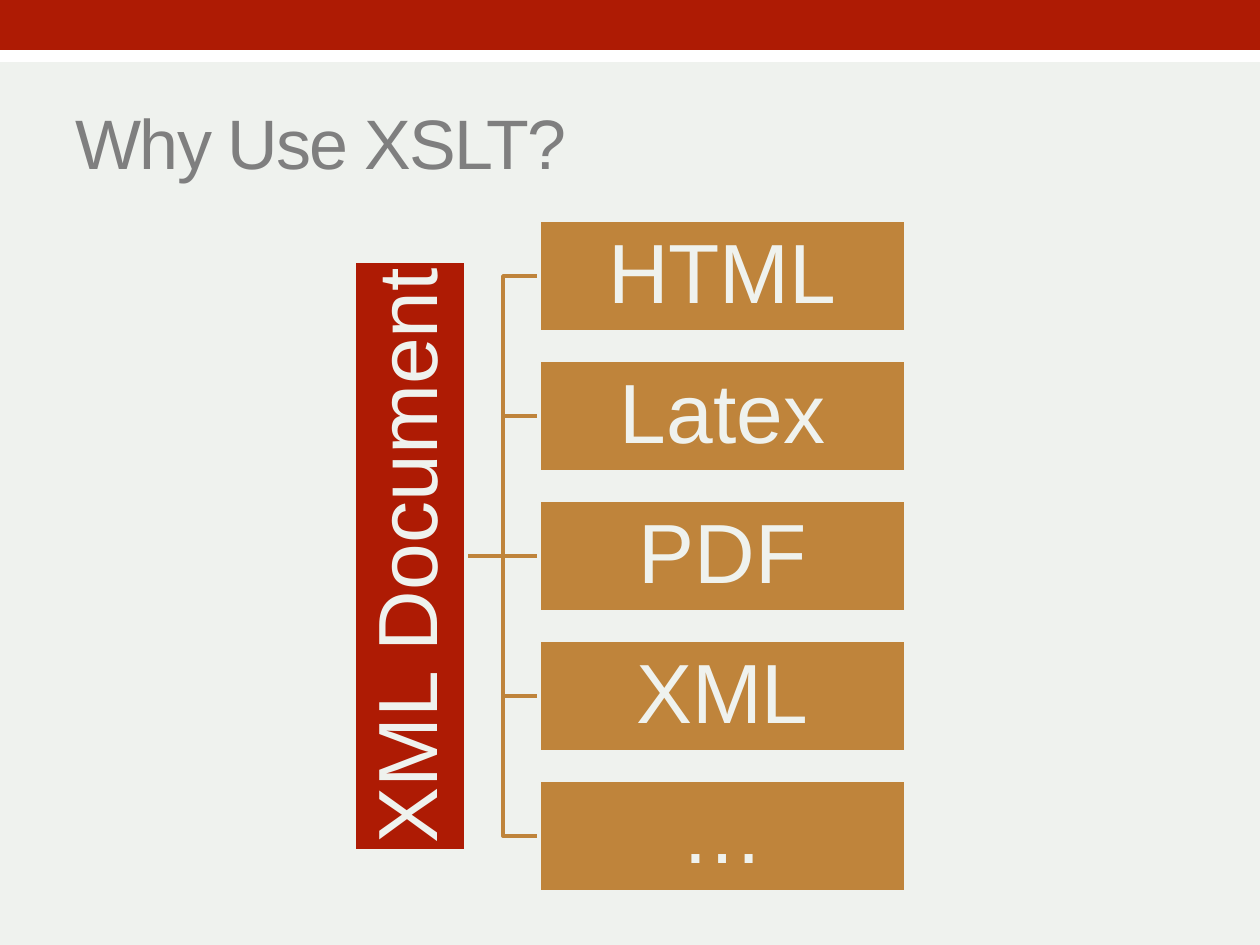
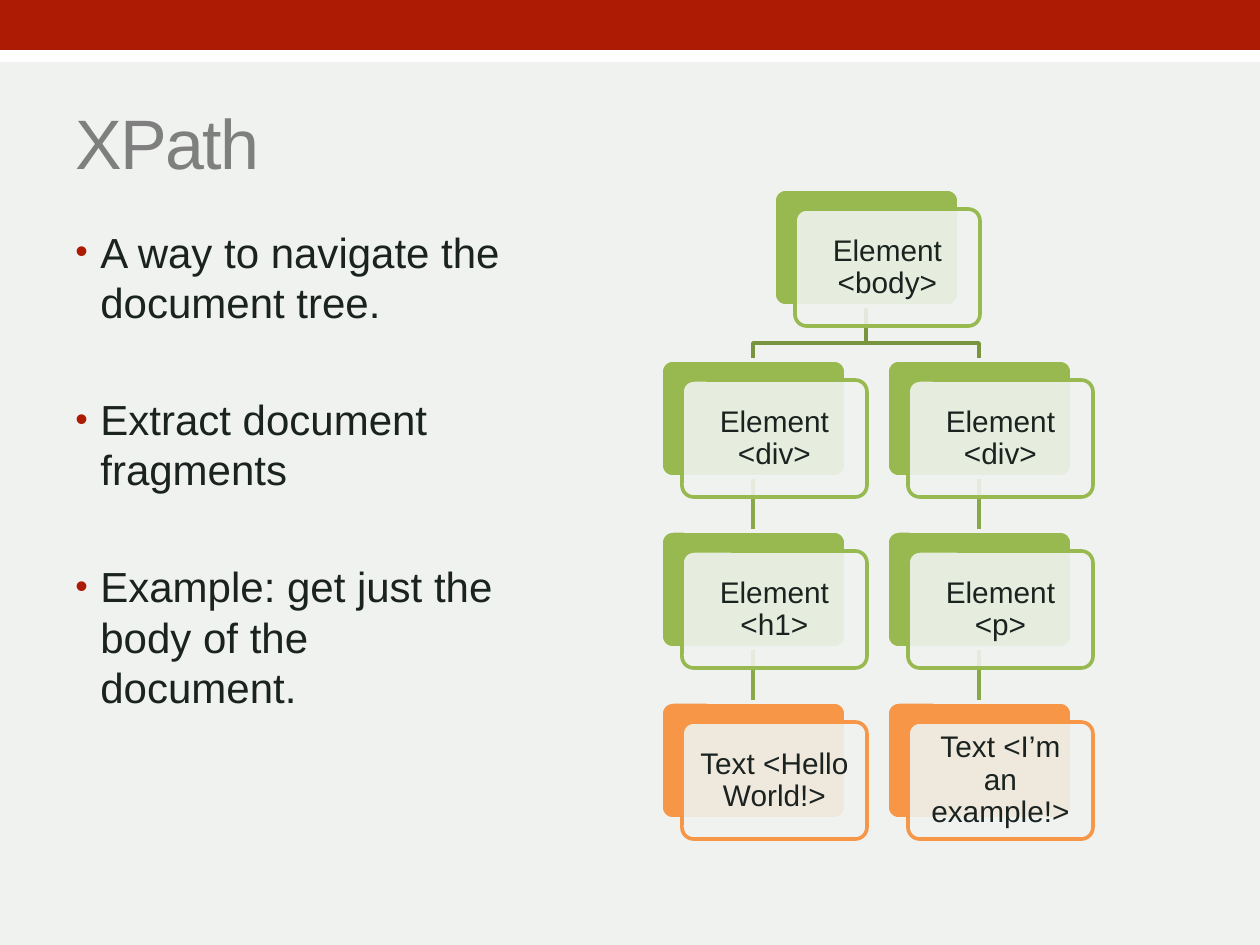
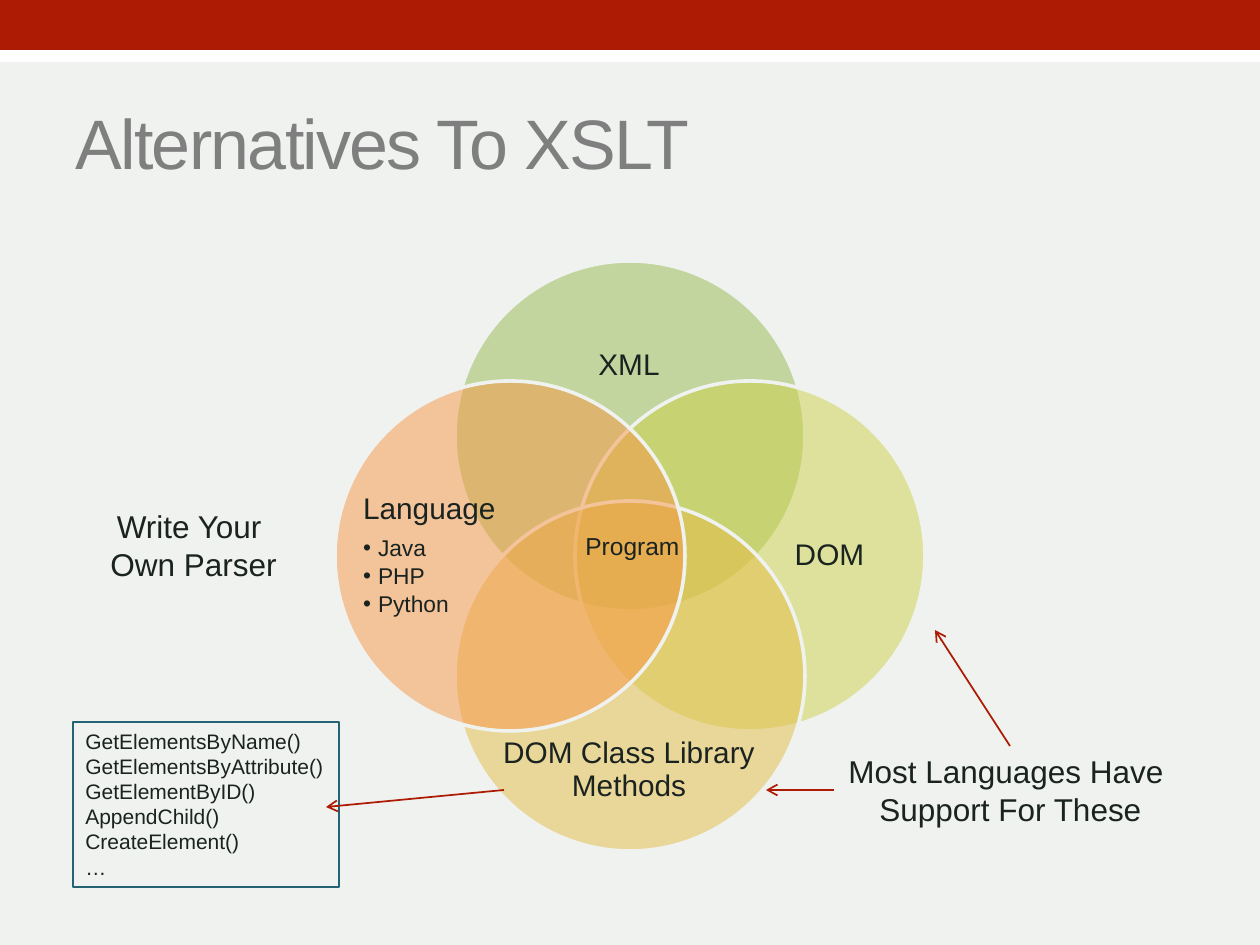
from pptx import Presentation
from pptx.dml.color import RGBColor
from pptx.enum.shapes import MSO_CONNECTOR, MSO_SHAPE
from pptx.enum.text import MSO_ANCHOR, MSO_AUTO_SIZE, PP_ALIGN
from pptx.oxml.ns import qn
from pptx.util import Emu, Pt
from lxml.etree import SubElement

RED = RGBColor(0xAE, 0x1B, 0x04)
WHITE = RGBColor(0xFF, 0xFF, 0xFF)
PAPER = RGBColor(0xEF, 0xF2, 0xEE)
GRAY = RGBColor(0x7F, 0x7F, 0x7F)
INK = RGBColor(0x1A, 0x23, 0x20)
BROWN = RGBColor(0xBF, 0x84, 0x3B)
GREEN = RGBColor(0x97, 0xB9, 0x4F)
MOSS = RGBColor(0x89, 0xA8, 0x48)
OLIVE = RGBColor(0x79, 0x94, 0x3F)
ORANGE = RGBColor(0xF7, 0x96, 0x46)
LIME = RGBColor(0xCC, 0xD1, 0x49)
GOLD = RGBColor(0xE5, 0xBC, 0x46)
TEAL = RGBColor(0x24, 0x63, 0x74)

FONT = "Arial"
EDGE = 2.08
CENTER = {"alignment": PP_ALIGN.CENTER}
TIGHT = {"alignment": PP_ALIGN.CENTER, "line_spacing": 0.9}
MIDDLE = {"vertical_anchor": MSO_ANCHOR.MIDDLE, "word_wrap": True}
GROW = {"word_wrap": False, "auto_size": MSO_AUTO_SIZE.SHAPE_TO_FIT_TEXT}


def px(n):
    return Emu(round(n * 914400 / 126))


def apply(obj, form):
    for name, value in form.items():
        setattr(obj, name, value)


def inset(n):
    return {"margin_" + side: px(n) for side in ("left", "right", "top", "bottom")}


class Deck:
    def __init__(self):
        self.prs = Presentation()
        self.prs.slide_width, self.prs.slide_height = px(1260), px(945)
        self.slide = None

    def start(self, title):
        """Add a slide with its title; the first one also sets up the master."""
        first = self.slide is None
        self.slide = self.prs.slides.add_slide(self.prs.slide_layouts[5])
        if first:
            self.master()
        head = self.slide.shapes.title
        apply(head, dict(zip(("left", "top", "width", "height"), map(px, (63, 73, 1134, 136)))))
        self.fill(head, [title], 40, GRAY, {"alignment": PP_ALIGN.LEFT}, MIDDLE)
        for props in head.element.iter(qn("a:rPr")):
            props.set("spc", "-100")

    def master(self):
        base = self.prs.slide_master
        base.background.fill.solid()
        base.background.fill.fore_color.rgb = PAPER
        bands = [((0, 30, 1260, 32), WHITE), ((0, 0, 1260, 50), RED)]
        for spot, (area, color) in enumerate(bands, 2):
            band = self.shape(MSO_SHAPE.RECTANGLE, area, color)
            base.shapes.element.insert(spot, band.element)

    def stroke(self, obj, color, width=EDGE):
        obj.line.color.rgb = color
        obj.line.width = Pt(width)

    def shape(self, kind, area, fill, line=None, alpha=None):
        item = self.slide.shapes.add_shape(kind, *map(px, area))
        item.shadow.inherit = False
        item.fill.solid()
        item.fill.fore_color.rgb = fill
        if alpha:
            tint = item.element.spPr.find(qn("a:solidFill"))[0]
            SubElement(tint, qn("a:alpha")).set("val", str(alpha * 1000))
        if line is None:
            item.line.fill.background()
        else:
            self.stroke(item, line)
        return item

    def fill(self, item, lines, size, color=INK, para=CENTER, frame=MIDDLE):
        """Put lines of text into a shape."""
        body = item.text_frame
        apply(body, frame)
        for i, words in enumerate(lines):
            part = body.add_paragraph() if i else body.paragraphs[0]
            apply(part, para)
            run = part.add_run()
            run.text = words
            apply(run.font, {"name": FONT, "size": Pt(size)})
            run.font.color.rgb = color

    def text(self, area, lines, size, para=CENTER, frame=MIDDLE):
        box = self.slide.shapes.add_textbox(*map(px, area))
        self.fill(box, lines, size, INK, para, frame)
        return box

    def bullet(self, part, indent, color=None, size=None):
        props = part._p.get_or_add_pPr()
        props.set("marL", str(px(indent)))
        props.set("indent", str(-px(indent)))
        if color is not None:
            tint = SubElement(props, qn("a:buClr"))
            SubElement(tint, qn("a:srgbClr")).set("val", str(color))
        if size:
            SubElement(props, qn("a:buSzPct")).set("val", str(size * 1000))
        SubElement(props, qn("a:buFont")).set("typeface", FONT)
        SubElement(props, qn("a:buChar")).set("char", "•")

    def link(self, start, end, color, width=EDGE, arrow=False):
        item = self.slide.shapes.add_connector(
            MSO_CONNECTOR.STRAIGHT, *map(px, start + end))
        self.stroke(item, color, width)
        props = item.element.spPr
        SubElement(props, qn("a:effectLst"))
        if arrow:
            SubElement(props.find(qn("a:ln")), qn("a:tailEnd")).set("type", "arrow")

    def elbow(self, points, color):
        first, *rest = [tuple(map(px, p)) for p in points]
        pen = self.slide.shapes.build_freeform(*first, scale=1.0)
        pen.add_line_segments(rest, close=False)
        item = pen.convert_to_shape()
        item.shadow.inherit = False
        item.fill.background()
        self.stroke(item, color)

    def card(self, area, words, color):
        """A coloured block with a pale, see-through label in front."""
        x, y, w, h = area
        back = self.shape(MSO_SHAPE.ROUNDED_RECTANGLE, area, color, PAPER)
        front = self.shape(MSO_SHAPE.ROUNDED_RECTANGLE, (x + 21, y + 20, w, h),
                           PAPER, color, 90)
        for item in (back, front):
            item.adjustments[0] = 0.1
        self.fill(front, [words], 17, INK, TIGHT, MIDDLE | inset(9))


deck = Deck()

# Slide 1: one source, many outputs
deck.start("Why Use XSLT?")
names = ["HTML", "Latex", "PDF", "XML", "…"]
left, top, high, step = 539, 220, 112, 140
mid = top + 2 * step + high // 2
for i in range(len(names)):
    y = top + i * step + high // 2
    if y == mid:
        deck.link((466, mid), (left, mid), BROWN)
    else:
        deck.elbow([(466, mid), (503, mid), (503, y), (left, y)], BROWN)
root = deck.shape(MSO_SHAPE.RECTANGLE, (115, mid - 56, 590, high), RED, PAPER)
root.rotation = 270
deck.fill(root, ["XML Document"], 48, PAPER, TIGHT, MIDDLE | inset(4))
for i, name in enumerate(names):
    box = deck.shape(MSO_SHAPE.RECTANGLE, (left, top + i * step, 367, high), BROWN, PAPER)
    deck.fill(box, [name], 48, PAPER, TIGHT, MIDDLE | inset(4))

# Slide 2: bullets and the document tree
deck.start("XPath")
points = ["A way to navigate the document tree.", "Extract document fragments",
          "Example: get just the body of the document."]
body = deck.text((63, 220, 462, 672), points, 24, {"alignment": PP_ALIGN.LEFT},
                 {"word_wrap": True})
for i, part in enumerate(body.text_frame.paragraphs):
    part.space_before = Pt(38 if i else 0)
    deck.bullet(part, 25, RED, 85)

wide, high, step, top, head = 185, 117, 171, 189, 774
trees = [(661, ["Element <div>", "Element <h1>", "Text <Hello World!>"]),
         (887, ["Element <div>", "Element <p>", "Text <I’m an example!>"])]
stem = head + wide // 2
for x, _ in trees:
    mid = x + wide // 2
    deck.elbow([(stem, top + high), (stem, 343), (mid, 343), (mid, top + step)], OLIVE)
    for row in (1, 2):
        y = top + row * step
        deck.link((mid, y + high), (mid, y + step), MOSS)
deck.card((head, top, wide, high), "Element <body>", GREEN)
for x, labels in trees:
    for row, words in enumerate(labels, 1):
        color = ORANGE if words.startswith("Text") else GREEN
        deck.card((x, top + row * step, wide, high), words, color)

# Slide 3: four circles around a program
deck.start("Alternatives To XSLT")
size, shift = 350, 120
plain = MIDDLE | inset(0)
rings = [(0, -1, GREEN, (495, 310, 268, 111), "XML"),
         (1, 0, LIME, (762, 422, 135, 268), "DOM"),
         (0, 1, GOLD, (495, 715, 268, 111), "DOM Class Library Methods"),
         (-1, 0, ORANGE, None, None)]
for dx, dy, color, area, words in rings:
    spot = (630 + dx * shift - size // 2, 556 + dy * shift - size // 2, size, size)
    deck.shape(MSO_SHAPE.OVAL, spot, color, PAPER, 50)
    if words:
        deck.text(area, [words], 17, TIGHT, plain)

tongue = deck.text((363, 422, 135, 268), ["Language", "Java", "PHP", "Python"], 17,
                   {"line_spacing": 0.9, "space_after": Pt(2)}, plain)
lead, *items = tongue.text_frame.paragraphs
lead.space_after = Pt(6)
for part in items:
    part.runs[0].font.size = Pt(13)
    deck.bullet(part, 15)

# Notes and arrows around the circles
deck.text((573, 525, 120, 43), ["Program"], 14, {}, GROW)
deck.text((97, 501, 193, 89), ["Write Your ", "Own Parser"], 18, CENTER, GROW)
deck.text((834, 746, 353, 89), ["Most Languages Have ", "Support For These"], 18,
          CENTER, GROW)
calls = ["GetElementsByName()", "GetElementsByAttribute()", "GetElementByID()",
         "AppendChild()", "CreateElement()", "…"]
deck.stroke(deck.text((73, 722, 266, 165), calls, 12, {}, GROW), TEAL, 1)
for start, end in [((1010, 746), (935, 630)), ((834, 790), (766, 790)),
                   ((504, 790), (326, 807))]:
    deck.link(start, end, RED, 1, arrow=True)

deck.prs.save("out.pptx")
